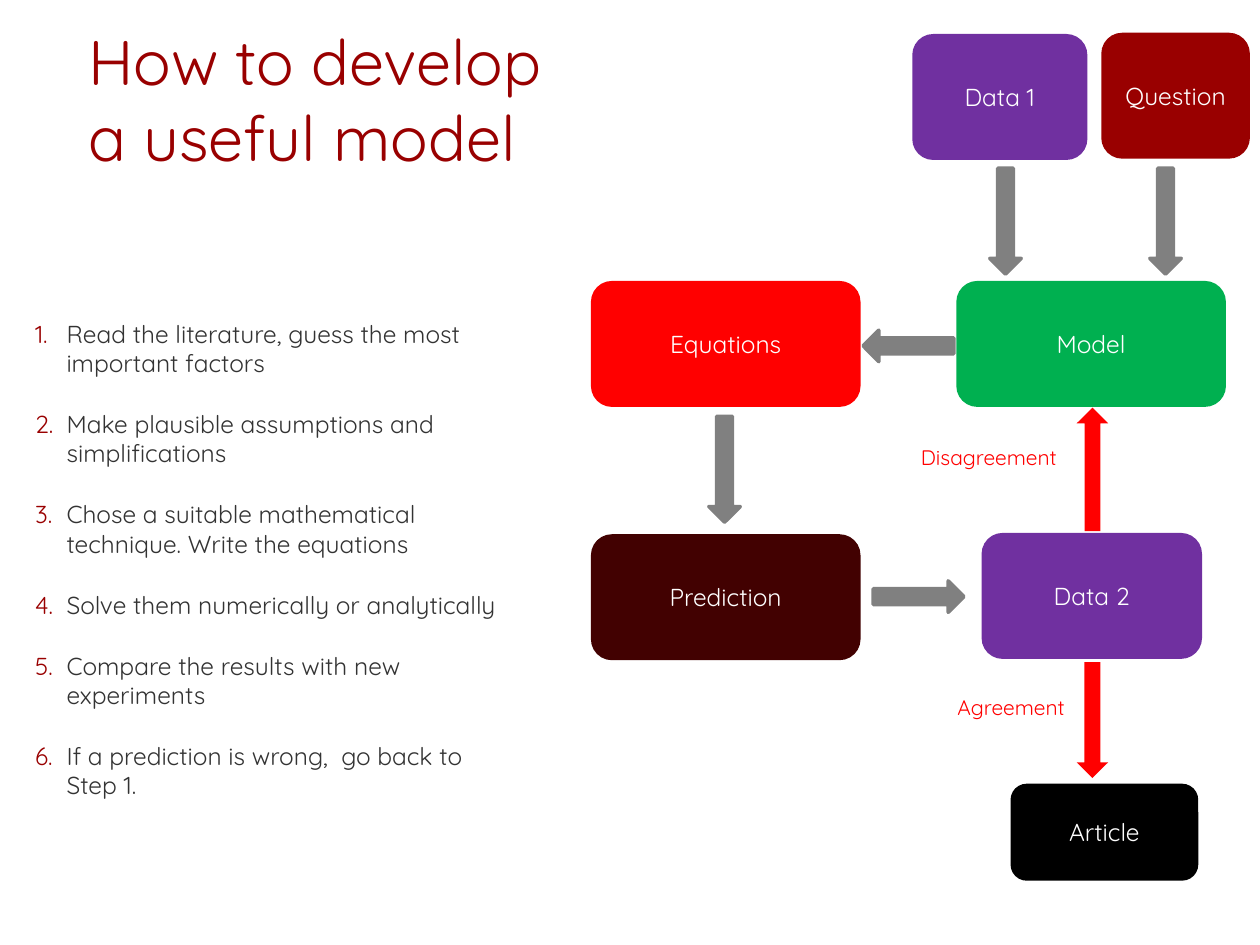
"""Build the model development slide: numbered steps beside a flow chart."""
from dataclasses import dataclass

from lxml.etree import SubElement as add_element
from pptx import Presentation
from pptx.dml.color import RGBColor as Color
from pptx.enum.shapes import MSO_SHAPE as Preset
from pptx.enum.text import MSO_ANCHOR as Anchor, MSO_AUTO_SIZE as AutoSize, PP_ALIGN as Align
from pptx.oxml.ns import qn
from pptx.util import Inches, Pt


@dataclass(frozen=True)
class Theme:
    font: str = "Quicksand"
    accent: str = "990000"
    ink: str = "333333"
    white: str = "FFFFFF"
    gray: str = "808080"
    red: str = "FF0000"
    purple: str = "7030A0"
    green: str = "00B050"
    maroon: str = "420101"
    black: str = "000000"
    title_size: int = 36
    text_size: int = 14
    label_size: int = 12


THEME = Theme()

STEPS = [
    "Read the literature, guess the most important factors",
    "Make plausible assumptions and simplifications",
    "Chose a suitable mathematical technique. Write the equations",
    "Solve them numerically or analytically",
    "Compare the results with new experiments",
    "If a prediction is wrong,  go back to Step 1.",
]
STAGES = [
    ("Data 1", (7.24, 0.27, 1.39, 1), THEME.purple),
    ("Question", (8.74, 0.26, 1.18, 1), THEME.accent),
    ("Equations", (4.69, 2.23, 2.14, 1), THEME.red),
    ("Model", (7.59, 2.23, 2.14, 1), THEME.green),
    ("Prediction", (4.69, 4.24, 2.14, 1), THEME.maroon),
    ("Data 2", (7.79, 4.23, 1.75, 1), THEME.purple),
    ("Article", (8.02, 6.22, 1.49, 0.77), THEME.black),
]
LEFT, UP, RIGHT, DOWN = 0, 90, 180, 270
FLOW_ARROWS = [
    (7.56, 1.63, 0.84, DOWN),
    (8.83, 1.63, 0.84, DOWN),
    (6.85, 2.62, 0.72, LEFT),
    (5.33, 3.6, 0.84, DOWN),
    (6.93, 4.61, 0.72, RIGHT),
]
OUTCOME_ARROWS = [(8.18, 3.6, 0.98, UP), (8.21, 5.59, 0.92, DOWN)]
OUTCOMES = [
    ("Disagreement", (7.21, 3.48, 2.76, 0.3), True),
    ("Agreement", (7.5, 5.46, 1.14, 0.3), False),
]


def write(para, text, *, size, color, align=Align.LEFT, space_before=0):
    para.alignment = align
    para.space_before = Pt(space_before)
    para.text = text
    for span in para.runs:
        span.font.name = THEME.font
        span.font.size = Pt(size)
        span.font.color.rgb = Color.from_string(color)


class PageBuilder:
    def __init__(self, page, theme):
        self.page = page
        self.theme = theme

    def title(self, text, place):
        box = self.page.shapes.title
        box.left, box.top, box.width, box.height = map(Inches, place)
        frame = box.text_frame
        frame.word_wrap = True
        frame.auto_size = AutoSize.NONE
        frame.vertical_anchor = Anchor.BOTTOM
        write(frame.paragraphs[0], text, size=self.theme.title_size, color=self.theme.accent)

    def numbered_list(self, items, place):
        frame = self.page.shapes.add_textbox(*map(Inches, place)).text_frame
        frame.word_wrap = True
        for index, item in enumerate(items):
            para = frame.add_paragraph() if index else frame.paragraphs[0]
            write(para, item, size=self.theme.text_size, color=self.theme.ink,
                  space_before=18 if index else 0)
            self.number(para)

    def number(self, para):
        props = para._p.get_or_add_pPr()
        props.set("marL", str(Inches(0.25)))
        props.set("indent", str(-Inches(0.25)))
        add_element(add_element(props, qn("a:buClr")), qn("a:srgbClr"), val=self.theme.accent)
        add_element(props, qn("a:buFont"), typeface=self.theme.font)
        add_element(props, qn("a:buAutoNum"), type="arabicPeriod")

    def shape(self, preset, place, fill):
        shape = self.page.shapes.add_shape(preset, *map(Inches, place))
        shape.shadow.inherit = False
        shape.fill.solid()
        shape.fill.fore_color.rgb = Color.from_string(fill)
        shape.line.fill.background()
        return shape

    def stage(self, text, place, fill):
        frame = self.shape(Preset.ROUNDED_RECTANGLE, place, fill).text_frame
        frame.vertical_anchor = Anchor.MIDDLE
        write(frame.paragraphs[0], text, size=self.theme.text_size,
              color=self.theme.white, align=Align.CENTER)

    def arrow(self, left, top, length, turn, color, outline=0):
        arrow = self.shape(Preset.LEFT_ARROW, (left, top, length, 0.25), color)
        arrow.rotation = turn
        if outline:
            arrow.line.color.rgb = Color.from_string(color)
            arrow.line.width = Pt(outline)

    def label(self, text, place, wrap):
        frame = self.page.shapes.add_textbox(*map(Inches, place)).text_frame
        frame.word_wrap = wrap
        frame.auto_size = AutoSize.SHAPE_TO_FIT_TEXT
        write(frame.paragraphs[0], text, size=self.theme.label_size, color=self.theme.red)


def main():
    deck = Presentation()
    deck.slide_width, deck.slide_height = Inches(10), Inches(7.5)
    builder = PageBuilder(deck.slides.add_slide(deck.slide_layouts[5]), THEME)
    builder.title("How to develop \va useful model", (0.6, 0.27, 7.94, 1.16))
    builder.numbered_list(STEPS, (0.18, 2.48, 4, 3.99))
    for stage in STAGES:
        builder.stage(*stage)
    for arrow in FLOW_ARROWS:
        builder.arrow(*arrow, THEME.gray, outline=2)
    for arrow in OUTCOME_ARROWS:
        builder.arrow(*arrow, THEME.red)
    for outcome in OUTCOMES:
        builder.label(*outcome)
    deck.save("out.pptx")


if __name__ == "__main__":
    main()
